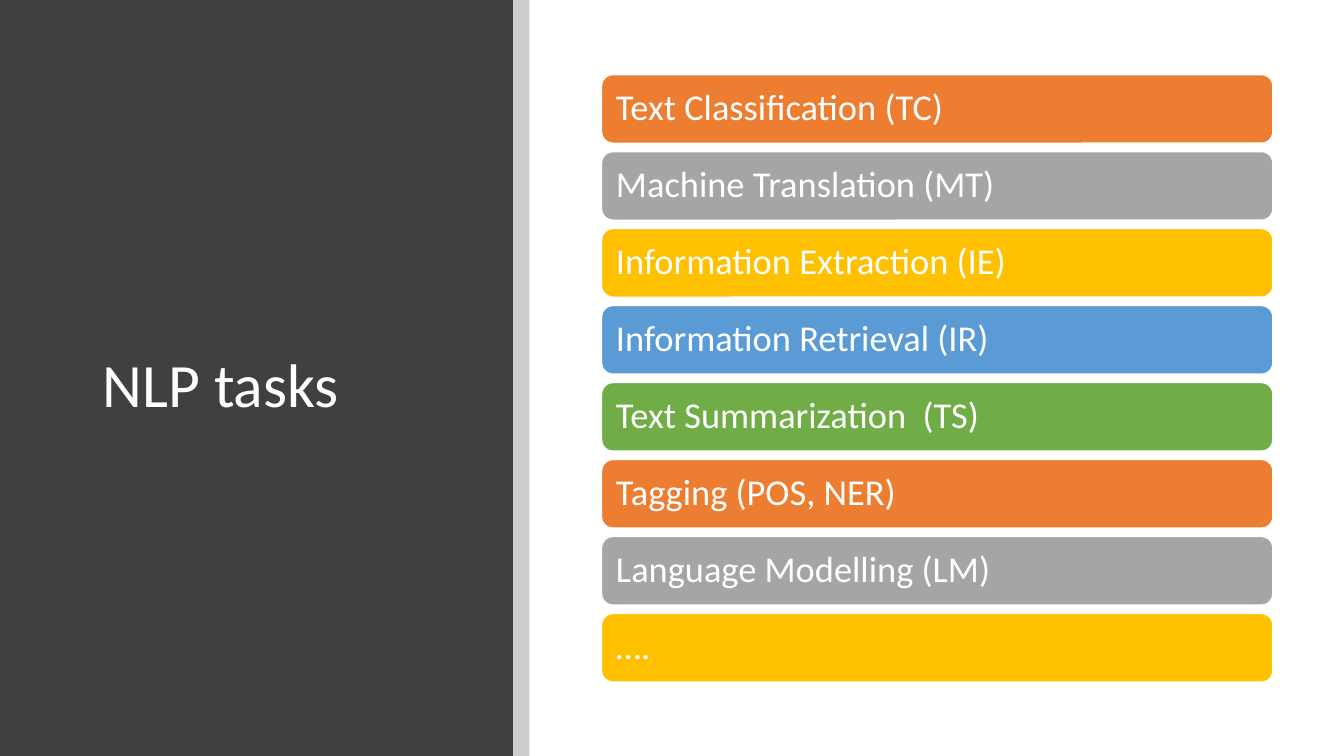
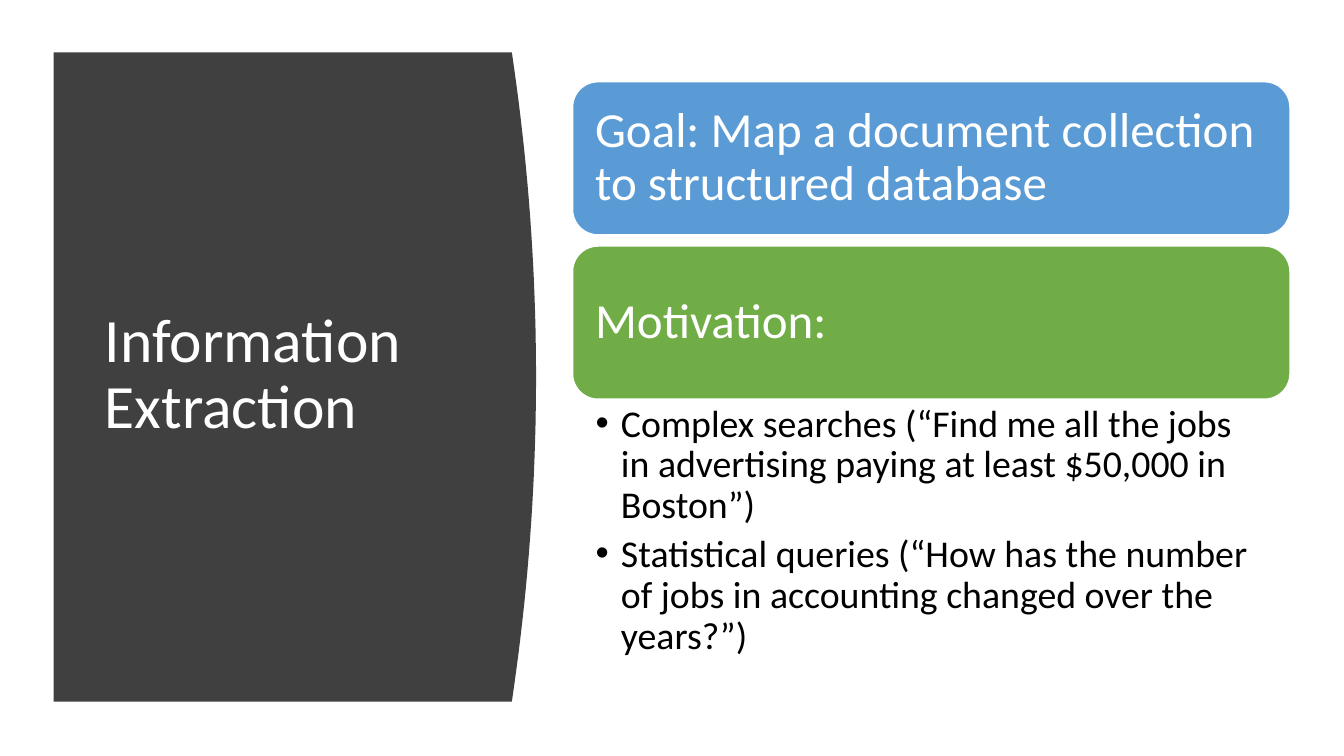
from typing import NamedTuple

from lxml.etree import SubElement
from pptx import Presentation
from pptx.dml.color import RGBColor
from pptx.enum.shapes import MSO_SHAPE as Shape
from pptx.enum.text import MSO_ANCHOR as Anchor, PP_ALIGN as Align
from pptx.oxml.ns import qn
from pptx.util import Cm, Pt

FONT = "Calibri"
WHITE, BLACK, DARK = "FFFFFF", "000000", "404040"
ORANGE, GRAY, GOLD, BLUE, GREEN = "ED7D31", "A5A5A5", "FFC000", "5B9BD5", "70AD47"
SLIDE_W, SLIDE_H = 33.87, 19.05
PANEL_W = 12.93


class Box(NamedTuple):
    left: float
    top: float
    width: float
    height: float

    def lengths(self) -> list:
        return [Cm(v) for v in self]


class Bar(NamedTuple):
    text: str
    color: str


class BarStack(NamedTuple):
    first: Box
    gap: float
    size: float
    inset: float


TASKS = [
    Bar("Text Classification (TC)", ORANGE),
    Bar("Machine Translation (MT)", GRAY),
    Bar("Information Extraction (IE)", GOLD),
    Bar("Information Retrieval (IR)", BLUE),
    Bar("Text Summarization  (TS)", GREEN),
    Bar("Tagging (POS, NER)", ORANGE),
    Bar("Language Modelling (LM)", GRAY),
    Bar("….", GOLD),
]
TASK_STACK = BarStack(Box(15.16, 1.88, 16.92, 1.73), 0.21, 26, 0.28)

TOPICS = [
    Bar("Goal: Map a document collection to structured database", BLUE),
    Bar("Motivation:", GREEN),
]
TOPIC_STACK = BarStack(Box(14.43, 2.06, 18.08, 3.86), 0.28, 35, 0.38)

MOTIVES = [
    "Complex searches (“Find me all the jobs in advertising paying at least "
    "$50,000 in Boston”)",
    "Statistical queries (“How has the number of jobs in accounting changed "
    "over the years?”)",
]


def rgb(color: str) -> RGBColor:
    return RGBColor.from_string(color)


def paint(sp, color: str, line: str | None = None, alpha: int = 100) -> None:
    sp.shadow.inherit = False
    sp.fill.solid()
    sp.fill.fore_color.rgb = rgb(color)
    if alpha < 100:
        clr = sp.fill._xPr.find(".//" + qn("a:srgbClr"))
        SubElement(clr, qn("a:alpha"), val=str(alpha * 1000))
    if line:
        sp.line.color.rgb = rgb(line)
        sp.line.width = Pt(1)
    else:
        sp.line.fill.background()


def add_bullet(p, indent: float) -> None:
    pPr = p._p.get_or_add_pPr()
    pPr.set("marL", str(Cm(indent)))
    pPr.set("indent", str(-Cm(indent)))
    SubElement(pPr, qn("a:buFont"), typeface="Arial")
    SubElement(pPr, qn("a:buChar"), char="•")


def write(sp, *lines: str, size: float, color: str = WHITE, anchor=Anchor.MIDDLE,
          insets=(0.25, 0.13, 0.25, 0.13), after: float = 0,
          bullet_indent: float = 0) -> None:
    tf = sp.text_frame
    tf.word_wrap = True
    tf.vertical_anchor = anchor
    tf.margin_left, tf.margin_top, tf.margin_right, tf.margin_bottom = map(Cm, insets)
    for i, line in enumerate(lines):
        p = tf.add_paragraph() if i else tf.paragraphs[0]
        p.alignment = Align.LEFT
        p.line_spacing = 0.9
        p.space_after = Pt(after)
        if bullet_indent:
            add_bullet(p, bullet_indent)
        r = p.add_run()
        r.text = line
        r.font.name = FONT
        r.font.size = Pt(size)
        r.font.color.rgb = rgb(color)


def add_title(s, text: str, box: Box) -> None:
    write(s.shapes.add_textbox(*box.lengths()), text, size=44)


def add_block(s, box: Box, color: str, alpha: int = 100) -> None:
    paint(s.shapes.add_shape(Shape.RECTANGLE, *box.lengths()), color, alpha=alpha)


def add_bars(s, bars: list[Bar], stack: BarStack) -> None:
    pitch = stack.first.height + stack.gap
    for i, bar in enumerate(bars):
        box = stack.first._replace(top=stack.first.top + i * pitch)
        sp = s.shapes.add_shape(Shape.ROUNDED_RECTANGLE, *box.lengths())
        paint(sp, bar.color, line=WHITE)
        write(sp, bar.text, size=stack.size, insets=[stack.inset] * 4)


def add_curved_panel(s, box: Box, bulge: float, steps: int = 40) -> None:
    edge = box.left + box.width - bulge
    curve = []
    for i in range(steps + 1):
        t = 2 * i / steps - 1
        curve.append((Cm(edge + bulge * (1 - t * t)),
                      Cm(box.top + box.height * i / steps)))
    fb = s.shapes.build_freeform(Cm(box.left), Cm(box.top))
    fb.add_line_segments(curve + [(Cm(box.left), Cm(box.top + box.height))])
    paint(fb.convert_to_shape(), DARK)


def tasks_slide(s) -> None:
    add_block(s, Box(0, 0, PANEL_W, SLIDE_H), DARK)
    add_title(s, "NLP tasks", Box(2.34, 2.26, 9.27, 15))
    add_block(s, Box(PANEL_W, 0, 0.41, SLIDE_H), BLACK, alpha=20)
    add_bars(s, TASKS, TASK_STACK)


def extraction_slide(s) -> None:
    add_curved_panel(s, Box(1.35, 1.32, 12.16, 16.36), 0.61)
    add_title(s, "Information Extraction", Box(2.39, 2.82, 9.5, 13.3))
    add_bars(s, TOPICS, TOPIC_STACK)
    motives = s.shapes.add_textbox(*Box(14.43, 10.06, 18.08, 6.83).lengths())
    write(motives, *MOTIVES, size=27, color=BLACK, anchor=Anchor.TOP,
          insets=(0.58, 0.13, 0.69, 0.13), after=5.4, bullet_indent=0.64)


def main() -> None:
    prs = Presentation()
    prs.slide_width, prs.slide_height = Cm(SLIDE_W), Cm(SLIDE_H)
    for draw in (tasks_slide, extraction_slide):
        draw(prs.slides.add_slide(prs.slide_layouts[6]))
    prs.save("out.pptx")


if __name__ == "__main__":
    main()
